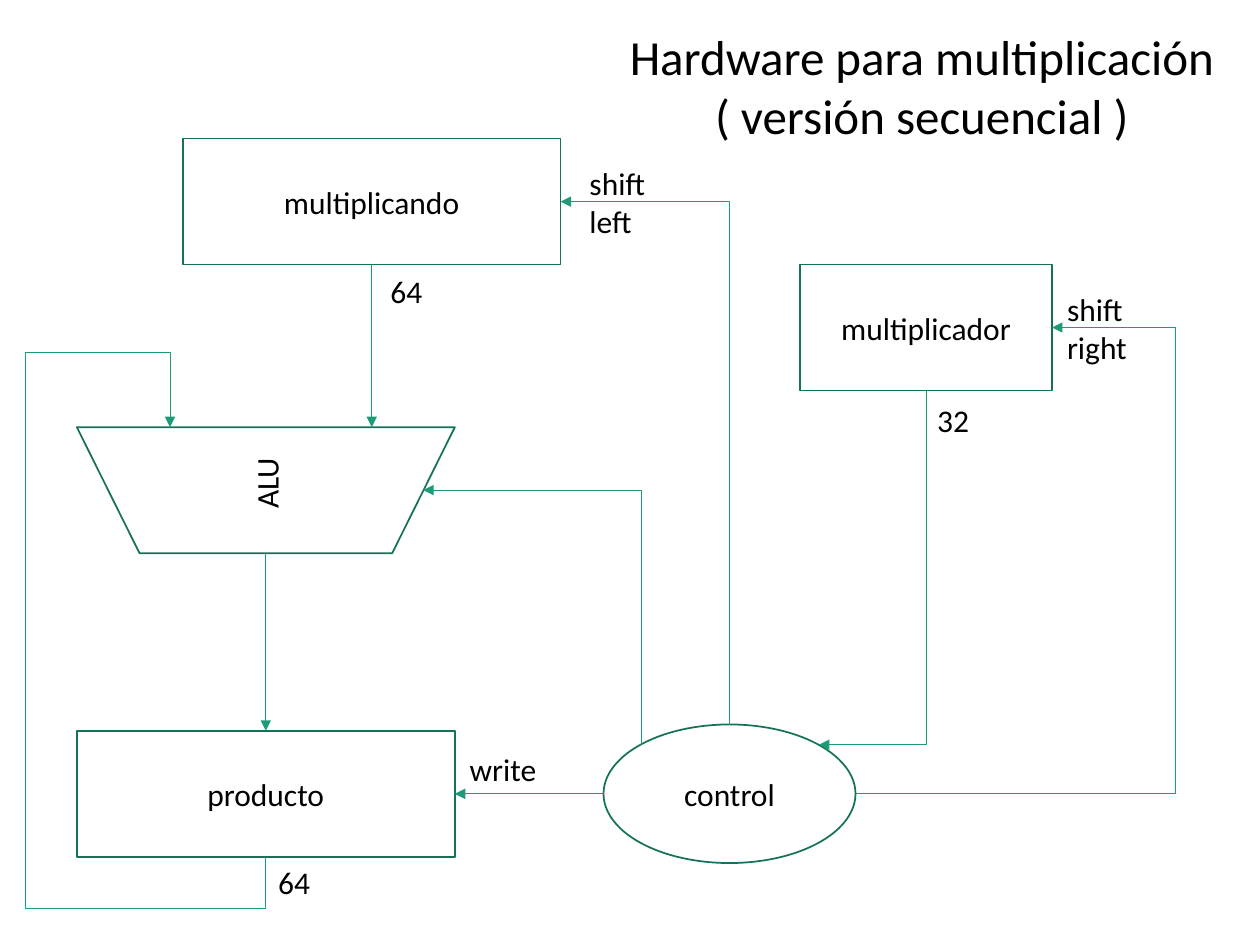
from collections import namedtuple

from lxml.etree import SubElement
from pptx import Presentation
from pptx.dml.color import RGBColor
from pptx.enum.shapes import MSO_CONNECTOR as Link, MSO_SHAPE as Shape
from pptx.enum.text import MSO_ANCHOR as Anchor, MSO_AUTO_SIZE as Fit, PP_ALIGN as Align
from pptx.oxml.ns import qn
from pptx.util import Inches, Pt

COLORS = {"outline": "157259", "arrow": "1D9A78", "text": "000000"}
FONT = "Calibri"
COLUMNS, ROWS = 100, 75
CELL = 0.1  # inches per column and per row

Box = namedtuple("Box", "left top width height")

# Blocks, in grid columns and rows
MULTIPLICAND = Box(14.5, 11, 30, 10)
PRODUCT = Box(6.1, 58, 30, 10)
ALU = Box(6.1, 33.9, 30, 10)
MULTIPLIER = Box(63.5, 21, 20, 10)
CONTROL = Box(47.9, 57.5, 20, 11)


def grid(*cells):
    return [Inches(cell * CELL) for cell in cells]


def point(box, across, down):
    """Grid point at the given shares of a block's width and height."""
    return box.left + across * box.width, box.top + down * box.height


def color(name):
    return RGBColor.from_string(COLORS[name])


def style_text(frame, size, align):
    for para in frame.paragraphs:
        para.alignment = align
        for span in para.runs:
            span.font.name = FONT
            span.font.size = Pt(size)
            span.font.color.rgb = color("text")


def add_block(page, kind, box, text):
    block = page.shapes.add_shape(kind, *grid(*box))
    block.shadow.inherit = False
    block.fill.background()
    block.line.color.rgb = color("outline")
    block.line.width = Pt(1)
    frame = block.text_frame
    frame.text = text
    frame.vertical_anchor = Anchor.MIDDLE
    style_text(frame, 18, Align.CENTER)
    return block


def add_label(page, box, text, size=18):
    frame = page.shapes.add_textbox(*grid(*box)).text_frame
    frame.word_wrap = False
    frame.auto_size = Fit.SHAPE_TO_FIT_TEXT
    frame.text = text
    style_text(frame, size, Align.LEFT)
    return frame


def add_arrow(page, *route):
    """Arrow through right-angled route points; two points give a straight line."""
    (x1, y1), (x2, y2) = route[0], route[-1]
    bends = len(route) - 2
    upright = bends > 0 and route[0][0] == route[1][0]
    # Elbows start out horizontal, so an upright start is turned by 90 degrees
    run, rise = (y2 - y1, x1 - x2) if upright else (x2 - x1, y2 - y1)
    mid_x, mid_y = (x1 + x2) / 2, (y1 + y2) / 2
    ends = grid(mid_x - run / 2, mid_y - rise / 2, mid_x + run / 2, mid_y + rise / 2)
    arrow = page.shapes.add_connector(Link.ELBOW if bends else Link.STRAIGHT, *ends)
    arrow.line.color.rgb = color("arrow")
    arrow.line.width = Pt(0.5)
    properties = arrow._element.spPr
    if bends:
        arrow.rotation = 90 if upright else 0
        geometry = properties.find(qn("a:prstGeom"))
        geometry.set("prst", f"bentConnector{bends + 1}")
        guides = geometry.get_or_add_avLst()
        for index in range(1, bends):
            axis = (index + upright + 1) % 2
            start, end = route[0][axis], route[-1][axis]
            share = (route[index][axis] - start) / (end - start)
            SubElement(guides, qn("a:gd"), name=f"adj{index}", fmla=f"val {round(share * 100000)}")
    SubElement(properties.find(qn("a:ln")), qn("a:tailEnd"), type="triangle")
    SubElement(properties, qn("a:effectLst"))


def add_blocks(page):
    add_block(page, Shape.RECTANGLE, MULTIPLICAND, "multiplicando")
    add_block(page, Shape.RECTANGLE, PRODUCT, "producto")
    alu = add_block(page, Shape.TRAPEZOID, ALU, "ALU")
    alu.adjustments[0] = 0.497
    alu.rotation = 180
    alu.text_frame._txBody.bodyPr.set("vert", "vert")
    add_block(page, Shape.RECTANGLE, MULTIPLIER, "multiplicador")
    add_block(page, Shape.OVAL, CONTROL, "control")


def add_arrows(page):
    product_out = point(PRODUCT, 0.5, 1)
    alu_left = (13.5, ALU.top)
    multiplicand_out = point(MULTIPLICAND, 0.5, 1)
    multiplicand_in = point(MULTIPLICAND, 1, 0.5)
    multiplier_out = point(MULTIPLIER, 0.5, 1)
    multiplier_in = point(MULTIPLIER, 1, 0.5)
    alu_in = (33.6, ALU.top + ALU.height / 2)
    control_top = point(CONTROL, 0.5, 0)
    control_right = point(CONTROL, 1, 0.5)
    control_nw, control_ne = (50.9, 59.1), (65, 59.1)

    # Data paths
    add_arrow(page, product_out, (product_out[0], 72.1), (2, 72.1),
              (2, 28), (alu_left[0], 28), alu_left)
    add_arrow(page, multiplicand_out, (multiplicand_out[0], ALU.top))
    add_arrow(page, point(ALU, 0.5, 1), point(PRODUCT, 0.5, 0))
    add_arrow(page, multiplier_out, (multiplier_out[0], control_ne[1]), control_ne)

    # Control signals
    add_arrow(page, point(CONTROL, 0, 0.5), point(PRODUCT, 1, 0.5))
    add_arrow(page, control_top, (control_top[0], multiplicand_in[1]), multiplicand_in)
    add_arrow(page, control_nw, (control_nw[0], alu_in[1]), alu_in)
    add_arrow(page, control_right, (93.3, control_right[1]),
              (93.3, multiplier_in[1]), multiplier_in)


def add_labels(page):
    add_label(page, Box(45.8, 12.5, 6.5, 7.1), "shift\nleft")
    add_label(page, Box(83.7, 22.5, 6.8, 7.1), "shift\nright")
    add_label(page, Box(36.3, 59, 7.4, 4), "write")
    for left, top, bits in ((73.4, 31.3, "32"), (30, 21.1, "64"), (21.1, 68, "64")):
        add_label(page, Box(left, top, 4.6, 4), bits)
    title = add_label(page, Box(49, 1.6, 50, 10.4),
                      "Hardware para multiplicación\n( versión secuencial )", 28)
    title.paragraphs[1].alignment = Align.CENTER


def main():
    deck = Presentation()
    deck.slide_width, deck.slide_height = grid(COLUMNS, ROWS)
    page = deck.slides.add_slide(deck.slide_layouts[6])
    add_blocks(page)
    add_arrows(page)
    add_labels(page)
    deck.save("out.pptx")


main()
